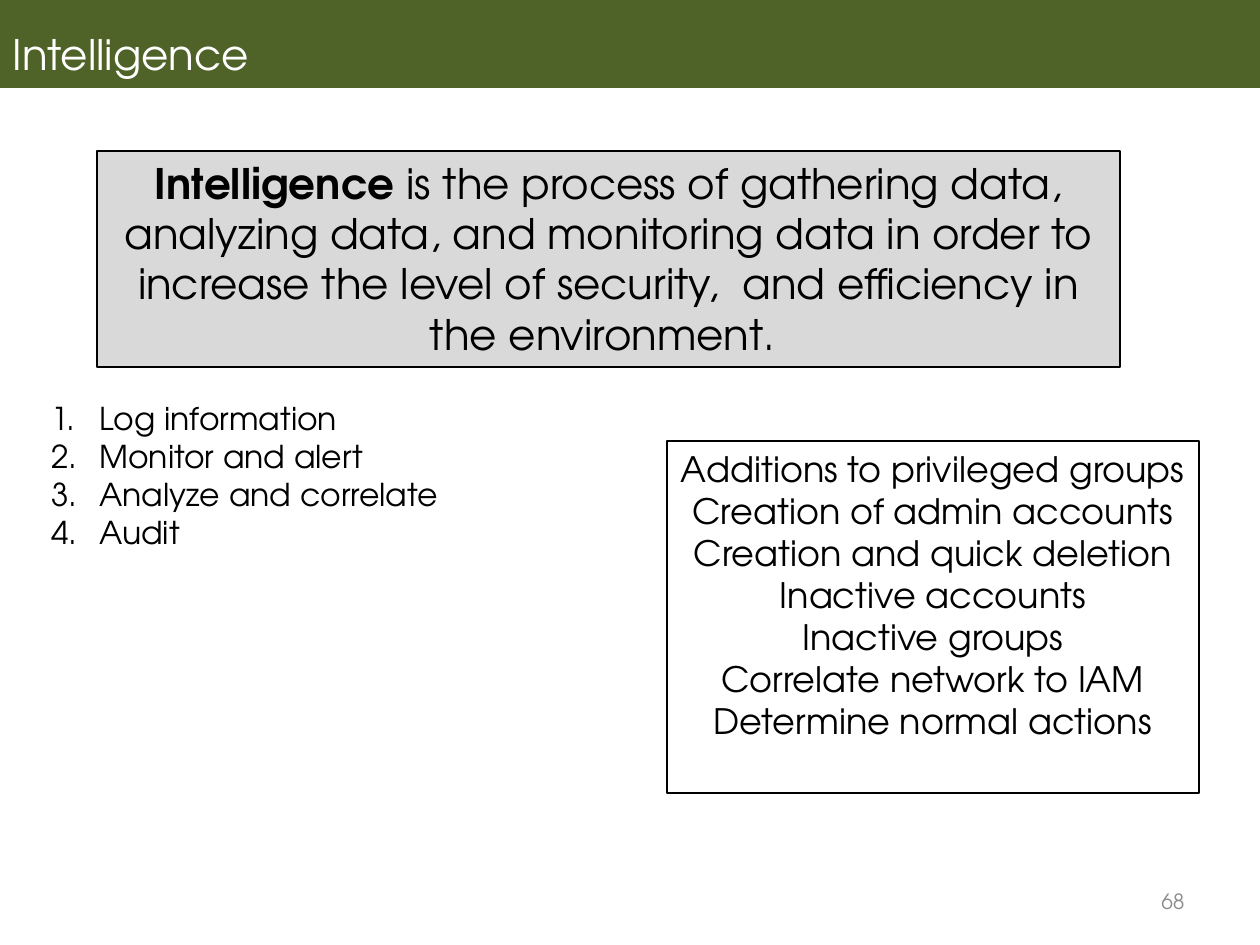
"""Build the slide on intelligence: a definition, four steps and what to watch for."""
from lxml import etree
from pptx import Presentation
from pptx.dml.color import RGBColor
from pptx.enum.shapes import MSO_SHAPE
from pptx.enum.text import MSO_ANCHOR, PP_ALIGN
from pptx.oxml.ns import qn
from pptx.util import Pt

RECTANGLE = MSO_SHAPE.RECTANGLE
TOP, MIDDLE, BOTTOM = MSO_ANCHOR.TOP, MSO_ANCHOR.MIDDLE, MSO_ANCHOR.BOTTOM
LEFT, CENTER, RIGHT = PP_ALIGN.LEFT, PP_ALIGN.CENTER, PP_ALIGN.RIGHT
PX = 914400 / 126
FONT = "TeX Gyre Adventor"
COLORS = {"green": "4F6228", "gray": "D9D9D9", "white": "FFFFFF",
          "black": "000000", "muted": "8C8C8C"}


def px(*lengths):
    return [round(length * PX) for length in lengths]


def write(box, paragraphs, size, color, align, anchor=TOP):
    frame = box.text_frame
    frame.word_wrap = True
    frame.vertical_anchor = anchor
    for index, spans in enumerate(paragraphs):
        para = frame.paragraphs[0] if index == 0 else frame.add_paragraph()
        para.alignment = align
        for text, bold in spans:
            span = para.add_run()
            span.text = text
            span.font.name = FONT
            span.font.size = Pt(size)
            span.font.bold = bold
            span.font.color.rgb = RGBColor.from_string(COLORS[color])
    return frame


deck = Presentation()
deck.slide_width, deck.slide_height = px(1260, 945)
page = deck.slides.add_slide(deck.slide_layouts[5])

title = page.shapes.title
title.left, title.top, title.width, title.height = px(0, -1, 1260, 89)
title.fill.solid()
title.fill.fore_color.rgb = RGBColor.from_string(COLORS["green"])
title_frame = write(title, [[("Intelligence", False)]], 24, "white", LEFT, BOTTOM)
title_frame.margin_bottom = px(8)[0]
title_frame.paragraphs[0].line_spacing = 0.9

definition = [[
    ("Intelligence ", True),
    ("is the process of gathering data, analyzing data, and monitoring data in order "
     "to increase the level of security,  and efficiency in the environment. ", False),
]]
signals = [[(text, False)] for text in (
    "Additions to privileged groups",
    "Creation of admin accounts",
    "Creation and quick deletion",
    "Inactive accounts",
    "Inactive groups",
    "Correlate network to IAM",
    "Determine normal actions",
)]
panels = [
    ((97, 151, 1023, 216), "gray", definition, 24),
    ((667, 441, 532, 352), "white", signals, 20),
]
for place, fill, paragraphs, size in panels:
    panel = page.shapes.add_shape(RECTANGLE, *px(*place))
    panel.shadow.inherit = False
    panel.fill.solid()
    panel.fill.fore_color.rgb = RGBColor.from_string(COLORS[fill])
    panel.line.color.rgb = RGBColor.from_string(COLORS["black"])
    panel.line.width = Pt(0.75)
    write(panel, paragraphs, size, "black", CENTER)

steps = [[(text, False)] for text in (
    "Log information", "Monitor and alert", "Analyze and correlate", "Audit")]
step_box = page.shapes.add_textbox(*px(39, 393, 433, 204))
step_frame = write(step_box, steps, 18, "black", LEFT)
indent = px(48)[0]
for para in step_frame.paragraphs:
    properties = para._p.get_or_add_pPr()
    properties.set("marL", str(indent))
    properties.set("indent", str(-indent))
    numbering = etree.SubElement(properties, qn("a:buAutoNum"))
    numbering.set("type", "arabicPeriod")

number_box = page.shapes.add_textbox(*px(903, 876, 294, 50))
write(number_box, [[("68", False)]], 12, "muted", RIGHT, MIDDLE)

deck.save("out.pptx")
